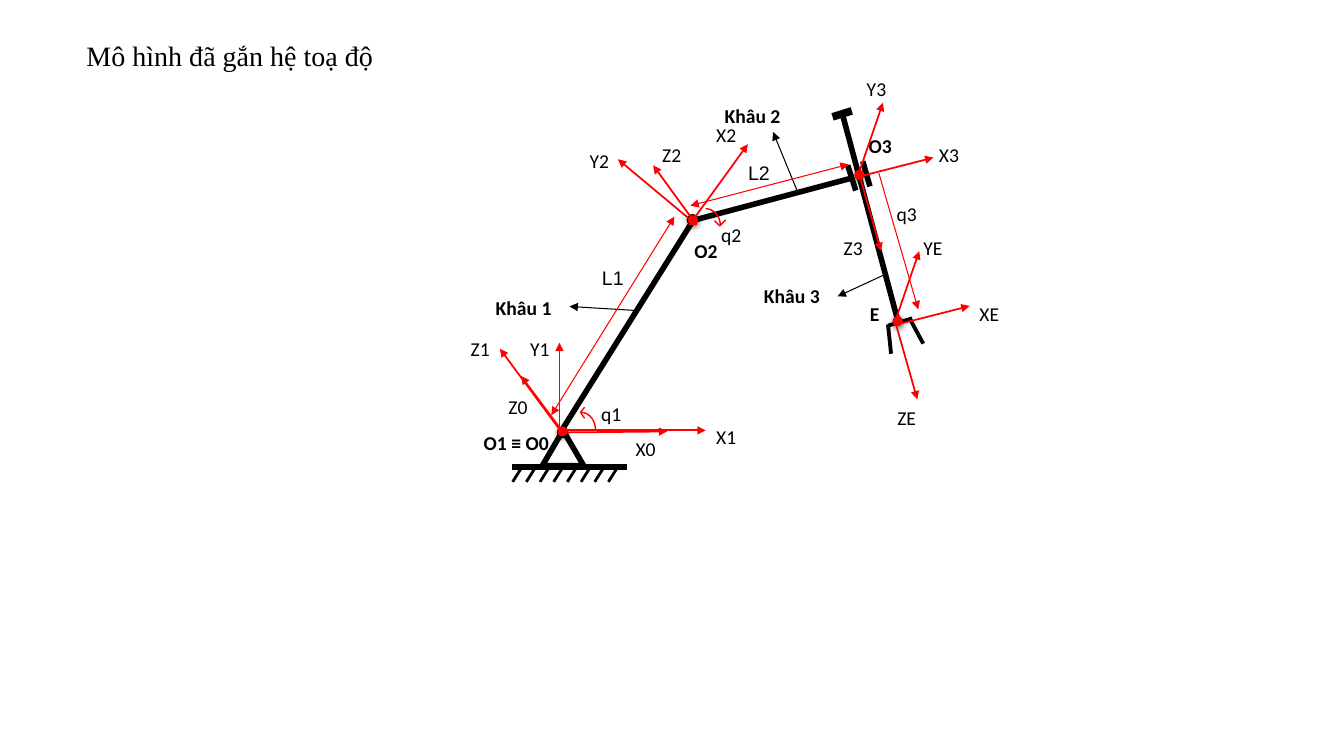
from math import cos, pi, sin

from lxml.etree import SubElement
from pptx import Presentation
from pptx.dml.color import RGBColor
from pptx.enum.shapes import MSO_CONNECTOR, MSO_SHAPE
from pptx.enum.text import MSO_AUTO_SIZE, PP_ALIGN
from pptx.oxml.ns import qn
from pptx.util import Pt

BLACK = RGBColor(0, 0, 0)
RED = RGBColor(255, 0, 0)


class Diagram:
    """Draws on one slide, or on a group of that slide; all lengths are points."""

    font = "Calibri"
    size = 14

    def __init__(self, slide):
        self.slide = slide
        self.shapes = slide.shapes

    def open_group(self):
        self.shapes = self.slide.shapes.add_group_shape().shapes

    def close_group(self):
        self.shapes = self.slide.shapes

    def line(self, start, end, color=BLACK, width=4.0, ends=()):
        """Draw a straight line; ends names the arrowheads, headEnd before tailEnd."""
        connector = self.shapes.add_connector(
            MSO_CONNECTOR.STRAIGHT, *(Pt(value) for value in (*start, *end)))
        connector.line.color.rgb = color
        connector.line.width = Pt(width)
        for end_name in ends:
            SubElement(connector.get_or_add_ln(), qn(f"a:{end_name}"), type="triangle")
        SubElement(connector.element.spPr, qn("a:effectLst"))

    def arrow(self, start, end, color=RED, width=1.25):
        self.line(start, end, color, width, ["tailEnd"])

    def dimension(self, start, end):
        self.line(start, end, RED, 0.75, ["headEnd", "tailEnd"])

    def shape(self, kind, left, top, width, height, line_width, color=BLACK, fill=None):
        shape = self.shapes.add_shape(kind, Pt(left), Pt(top), Pt(width), Pt(height))
        if fill is None:
            shape.fill.background()
        else:
            shape.fill.solid()
            shape.fill.fore_color.rgb = fill
        shape.line.color.rgb = color
        shape.line.width = Pt(line_width)
        shape.shadow.inherit = False
        return shape

    def dot(self, center, diameter, color, line_width):
        x, y = center
        return self.shape(MSO_SHAPE.OVAL, x - diameter / 2, y - diameter / 2,
                          diameter, diameter, line_width, color, color)

    def origin(self, center):
        """Draw a red frame origin with a soft shadow."""
        dot = self.dot(center, 6.5, RED, 0.75)
        effects = dot.element.spPr.find(qn("a:effectLst"))
        shadow = SubElement(effects, qn("a:outerShdw"), blurRad=str(Pt(4.5)),
                            dist=str(Pt(1.5)), dir="5400000", rotWithShape="0")
        color = SubElement(shadow, qn("a:srgbClr"), val=str(BLACK))
        SubElement(color, qn("a:alpha"), val="63000")

    def polyline(self, points):
        builder = self.shapes.build_freeform(Pt(points[0][0]), Pt(points[0][1]))
        builder.add_line_segments([(Pt(x), Pt(y)) for x, y in points[1:]], close=False)
        shape = builder.convert_to_shape()
        shape.fill.background()
        shape.line.color.rgb = RED
        shape.line.width = Pt(1)
        shape.shadow.inherit = False

    def turn(self, center, head):
        """Draw a quarter turn about center and the open arrowhead on it."""
        x, y = center
        angles = [pi / 2 * step / 16 for step in range(17)]
        self.polyline([(x + 10.6 * cos(angle), y - 12.2 * sin(angle)) for angle in angles])
        self.polyline(head)

    def text(self, text, left, top, width=42.5, height=24.5, *, font=None, size=None,
             bold=False, align=PP_ALIGN.CENTER, spacing=None, wrap=True, grow=True):
        box = self.shapes.add_textbox(Pt(left), Pt(top), Pt(width), Pt(height))
        frame = box.text_frame
        frame.word_wrap = wrap
        frame.auto_size = MSO_AUTO_SIZE.SHAPE_TO_FIT_TEXT if grow else MSO_AUTO_SIZE.NONE
        paragraph = frame.paragraphs[0]
        paragraph.alignment = align
        paragraph.line_spacing = spacing
        run = paragraph.add_run()
        run.text = text
        run.font.name = font or self.font
        run.font.size = Pt(size or self.size)
        run.font.bold = bold
        run.font.color.rgb = BLACK


def draw_arm(diagram):
    diagram.line((400.3, 308.9), (495.4, 157))
    diagram.turn((414.7, 306.7), [(417.6, 298.8), (414.7, 294.5), (417.6, 290.9)])

    ground = 333.4
    diagram.line((365.8, ground), (447.8, ground))
    for index in range(8):
        x = 373 + 9.77 * index
        diagram.line((x, ground), (x - 6.8, ground + 10.8), width=2)
    diagram.shape(MSO_SHAPE.ISOSCELES_TRIANGLE, 387.4, 307.4, 29.5, 25.2, 4)
    for center in [(401.8, 308.9), (494.6, 157)]:
        diagram.dot(center, 7.2, BLACK, 1)

    for start, end, width in [
        ((496.8, 157), (607.7, 127.4), 4),
        ((605.5, 118.1), (611.3, 136.1), 4),
        ((616.3, 115.2), (621.4, 133.2), 4),
        ((601.9, 82.1), (641.5, 229.7), 4),
        ((651.6, 227.5), (634.3, 232.6), 2.75),
        ((634.3, 231.8), (636.5, 252.7), 2.75),
        ((649.4, 226.8), (659.5, 245.5), 2.75),
        ((608.4, 79.2), (594.7, 83.5), 5.5),
    ]:
        diagram.line(start, end, width=width)

    diagram.arrow((401.8, 308.2), (372.2, 268.6))
    diagram.arrow((401.8, 308.9), (476.6, 308.2))
    for center in [(401.8, 308.2), (495, 157.3), (613.8, 124.9), (641.2, 229.3)]:
        diagram.origin(center)
    diagram.turn((504, 161.3), [(510.5, 157.7), (514.1, 161.3), (518.4, 157)])

    for text, left, top in [("q1", 415.4, 283.7), ("q2", 501.1, 155.5), ("q3", 626.4, 140.4)]:
        diagram.text(text, left, top)
    diagram.text("Z0", 350.6, 278.6, 38.9, 41)
    diagram.text("X0", 439.9, 308.2, height=41)
    for text, left, top, width in [
        ("O1 ≡ O0", 338.4, 303.1, 90), ("O2", 488.9, 166.3, 90), ("O3", 613.4, 90.7, 32.4),
    ]:
        diagram.text(text, left, top, width, bold=True, align=PP_ALIGN.LEFT, spacing=1.07)

    for text, left, top, width, start, end in [
        ("Khâu 1", 347, 208.1, 67.7, (454.3, 221.8), (406.8, 218.9)),
        ("Khâu 2", 510.5, 70.6, 63.4, (570.2, 138.2), (552.2, 94.3)),
        ("Khâu 3", 538.6, 199.4, 66.2, (634.3, 195.1), (598.3, 211.7)),
    ]:
        diagram.arrow(start, end, BLACK, 0.75)
        diagram.text(text, left, top, width, bold=True, align=PP_ALIGN.LEFT)

    diagram.arrow((627.8, 123.8), (655.9, 221), width=0.75)
    diagram.dimension((393.8, 296.6), (481.7, 154.8))
    diagram.text("L1", 418.3, 186.5, 38.9, 41, font="Arial")
    diagram.dimension((493.2, 146.9), (606.2, 117.4))
    diagram.text("L2", 522.7, 111.6, 38.9, 41, font="Arial")


def draw_frames(diagram):
    """Draw the axes of frames 1, 2, 3 and E with their names."""
    diagram.text("E", 614.2, 212.4, 24.5, bold=True, align=PP_ALIGN.LEFT)
    for start, end in [
        ((399.6, 306.7), (357.1, 249.1)),
        ((399.6, 307.4), (504, 307.4)),
        ((399.6, 307.4), (399.6, 244.8)),
        ((492.5, 160.6), (534.2, 103)),
        ((497.5, 160.6), (441.4, 113.8)),
        ((497.5, 160.6), (466.6, 118.1)),
    ]:
        diagram.arrow(start, end)
    for x, y in [(614.2, 126), (640.1, 232)]:
        diagram.arrow((x, y), (x + 52.5, y - 13.4))
        diagram.arrow((x, y), (x + 15.1, y + 53.3))
        diagram.arrow((x - 1.5, y), (x + 16.5, y - 52.6))

    for text, left, top in [
        ("X1", 497.5, 300.2), ("Y1", 364.3, 236.9), ("Z1", 321.8, 236.9),
        ("X2", 497.5, 84.2), ("Y2", 406.8, 103), ("Z2", 458.6, 98.6),
        ("X3", 656.6, 98.6), ("Y3", 604.8, 51.1), ("Z3", 588.2, 164.9),
        ("XE", 685.4, 212.4), ("YE", 645.1, 164.9), ("ZE", 626.4, 286.6),
    ]:
        diagram.text(text, left, top, height=41, grow=False)


def main():
    presentation = Presentation()
    presentation.slide_width, presentation.slide_height = Pt(960), Pt(540)
    diagram = Diagram(presentation.slides.add_slide(presentation.slide_layouts[6]))
    diagram.open_group()
    draw_arm(diagram)
    diagram.close_group()
    draw_frames(diagram)
    diagram.text("Mô hình đã gắn hệ toạ độ", 54.7, 23.8, 221, 31.7, font="Times New Roman",
                 size=20, align=PP_ALIGN.LEFT, wrap=False)
    presentation.save("out.pptx")


if __name__ == "__main__":
    main()
